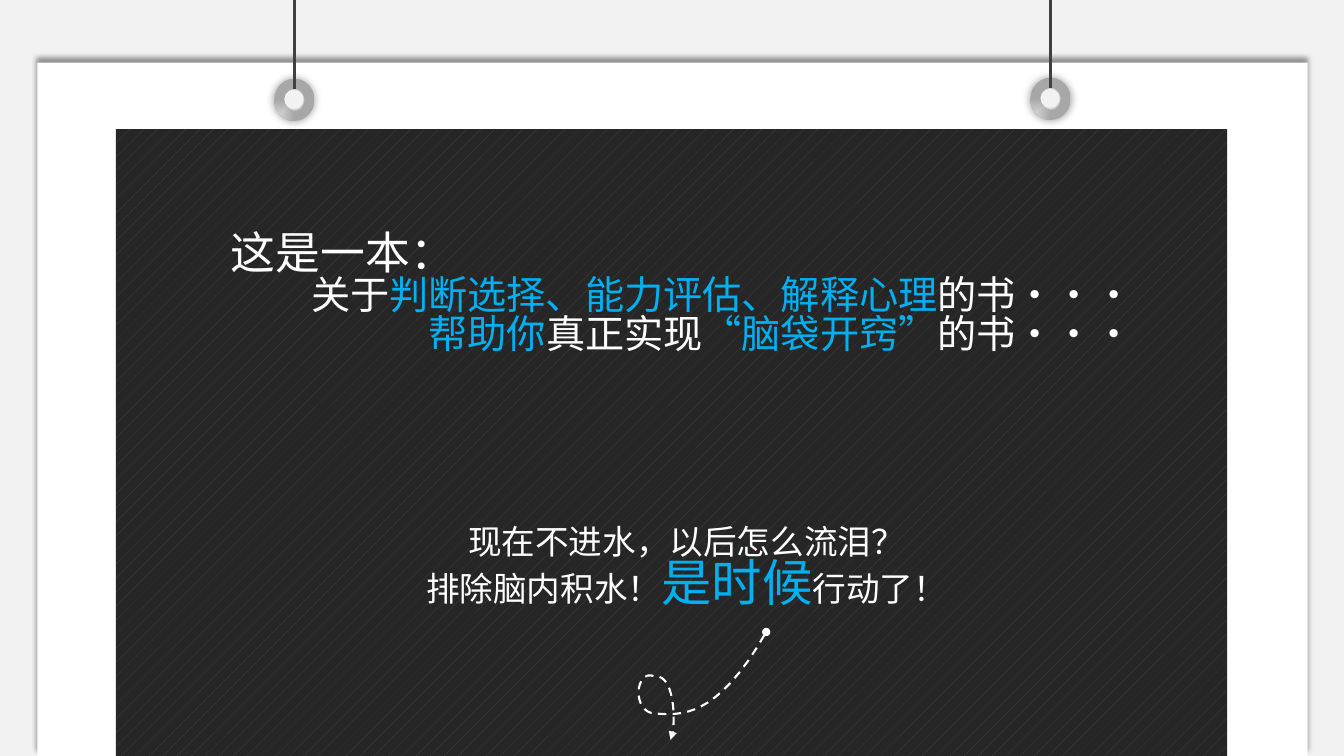
"""Build the hanging-card slide that introduces the book."""
import pptx
import pptx.dml.color
import pptx.enum.dml
import pptx.enum.shapes
import pptx.enum.text
import pptx.oxml
import pptx.oxml.ns
import pptx.util
from pptx.util import Inches

RGBColor = pptx.dml.color.RGBColor
MSO_SHAPE = pptx.enum.shapes.MSO_SHAPE
PP_ALIGN = pptx.enum.text.PP_ALIGN
WHITE = RGBColor(0xFF, 0xFF, 0xFF)
BLUE = RGBColor(0x00, 0xB0, 0xF0)
WALL = RGBColor(0xF2, 0xF2, 0xF2)
BOARD = RGBColor(0x26, 0x26, 0x26)
STRIPE = RGBColor(0x47, 0x47, 0x47)
STRING = RGBColor(0x40, 0x40, 0x40)
RING_LIGHT = RGBColor(0xE3, 0xE1, 0xE1)
RING_DARK = RGBColor(0xA7, 0xA7, 0xA7)
FONT = "Noto Sans CJK SC"


def add_xml(parent, xml):
    ns = pptx.oxml.ns.nsdecls("a")
    parent.append(pptx.oxml.parse_xml(xml.replace("/>", f" {ns}/>", 1) if xml.endswith("/>") and xml.count("<") == 1
                                      else xml.replace(">", f" {ns}>", 1)))


def add_shape(s, kind, left, top, width, height, color=None):
    sp = s.shapes.add_shape(kind, Inches(left), Inches(top), Inches(width), Inches(height))
    sp.shadow.inherit = False
    sp.line.fill.background()
    if color is not None:
        sp.fill.solid()
        sp.fill.fore_color.rgb = color
    return sp


def add_shadow(sp, blur, distance):
    effects = sp._element.spPr.find(pptx.oxml.ns.qn("a:effectLst"))
    add_xml(effects, f'<a:outerShdw blurRad="{pptx.util.Pt(blur)}" dist="{pptx.util.Pt(distance)}" '
                     'dir="16200000" algn="ctr" rotWithShape="0">'
                     '<a:srgbClr val="000000"><a:alpha val="40000"/></a:srgbClr></a:outerShdw>')


def add_ring(s, center, top):
    ring = add_shape(s, MSO_SHAPE.DONUT, center - 0.2, top, 0.4, 0.42)
    ring.adjustments[0] = 0.25
    ring.fill.gradient()
    for stop, color in zip(ring.fill.gradient_stops, (RING_LIGHT, RING_DARK)):
        stop.color.rgb = color
    grad = ring._element.spPr.find(pptx.oxml.ns.qn("a:gradFill"))
    grad.remove(grad.find(pptx.oxml.ns.qn("a:lin")))
    add_xml(grad, '<a:path path="rect"><a:fillToRect t="100000" r="100000"/></a:path>')
    add_shadow(ring, 6, 0)
    add_shape(s, MSO_SHAPE.OVAL, center - 0.1, top + 0.11, 0.19, 0.19, WALL)


def add_string(s, center, bottom):
    line = s.shapes.add_connector(pptx.enum.shapes.MSO_CONNECTOR.STRAIGHT,
                                  Inches(center), 0, Inches(center), Inches(bottom))
    line.line.color.rgb = STRING
    line.line.width = pptx.util.Pt(2.25)
    add_xml(line._element.spPr, "<a:effectLst/>")


def add_curled_arrow(s, start, curves, steps=16):
    points = [start]
    for curve in curves:
        corners = (points[-1], *curve)
        for i in range(1, steps + 1):
            t = i / steps
            weights = ((1 - t) ** 3, 3 * t * (1 - t) ** 2, 3 * t * t * (1 - t), t ** 3)
            points.append(tuple(sum(w * c[axis] for w, c in zip(weights, corners)) for axis in (0, 1)))
    points = [(Inches(x), Inches(y)) for x, y in points]
    builder = s.shapes.build_freeform(*points[0])
    builder.add_line_segments(points[1:], close=False)
    sp = builder.convert_to_shape()
    sp.shadow.inherit = False
    sp.fill.background()
    sp.line.color.rgb = WHITE
    sp.line.width = pptx.util.Pt(1.5)
    sp.line.dash_style = pptx.enum.dml.MSO_LINE.DASH
    ln = sp.line._get_or_add_ln()
    add_xml(ln, '<a:headEnd type="oval"/>')
    add_xml(ln, '<a:tailEnd type="triangle"/>')


def fill_text(sp, box, paragraphs):
    sp.left, sp.top, sp.width, sp.height = map(Inches, box)
    tf = sp.text_frame
    tf.word_wrap = True
    tf.auto_size = pptx.enum.text.MSO_AUTO_SIZE.NONE
    tf.vertical_anchor = pptx.enum.text.MSO_ANCHOR.TOP
    for i, (align, runs) in enumerate(paragraphs):
        p = tf.add_paragraph() if i else tf.paragraphs[0]
        p.alignment = align
        p.line_spacing = 0.83
        p.space_before = pptx.util.Pt(0)
        p._p.get_or_add_pPr().set("indent", str(Inches(0.29)))
        for text, size, color in runs:
            r = p.add_run()
            r.text = text
            r.font.size = pptx.util.Pt(size)
            r.font.color.rgb = color
            r.font.name = FONT
            add_xml(r._r.get_or_add_rPr(), f'<a:ea typeface="{FONT}"/>')


def main():
    prs = pptx.Presentation()
    prs.slide_width, prs.slide_height = Inches(13.33), Inches(7.5)
    s = prs.slides.add_slide(prs.slide_layouts[5])
    s.background.fill.solid()
    s.background.fill.fore_color.rgb = WALL

    card = add_shape(s, MSO_SHAPE.RECTANGLE, 0.37, 0.62, 12.6, 6.88, WHITE)
    add_shadow(card, 4, 3)
    hangers = ((2.92, 0.78), (10.42, 0.77))
    for center, top in hangers:
        add_ring(s, center, top)
    board = add_shape(s, MSO_SHAPE.RECTANGLE, 1.15, 1.28, 11.02, 6.22)
    board.fill.patterned()
    board.fill.pattern = pptx.enum.dml.MSO_PATTERN.PERCENT_5
    board.fill.fore_color.rgb = STRIPE
    board.fill.back_color.rgb = BOARD
    for center, top in hangers:
        add_string(s, center, top + 0.1)

    call = s.shapes.add_textbox(0, 0, 0, 0)
    fill_text(call, (3.33, 5.19, 6.67, 1.11), (
        (PP_ALIGN.CENTER, [("现在不进水，以后怎么流泪？", 24, WHITE)]),
        (PP_ALIGN.CENTER, [("排除脑内积水！", 24, WHITE), ("是时候", 36, BLUE), ("行动了！", 24, WHITE)]),
    ))
    title = s.shapes.title
    s.shapes._spTree.append(title._element)
    fill_text(title, (1.9, 2.27, 9.44, 1.58), (
        (PP_ALIGN.LEFT, [("这是一本：", 32, WHITE)]),
        (PP_ALIGN.RIGHT, [("关于", 28, WHITE), ("判断选择、能力评估、解释心理", 28, BLUE), ("的书···", 28, WHITE)]),
        (PP_ALIGN.RIGHT, [("帮助你", 28, BLUE), ("真正实现", 28, WHITE), ("“脑袋开窍”", 28, BLUE),
                          ("的书···", 28, WHITE)]),
    ))
    add_curled_arrow(s, (7.6, 6.27), (
        ((7.1, 7.15), (6.74, 7.09), (6.5, 7.08)),
        ((6.26, 7.07), (6.3, 6.63), (6.49, 6.71)),
        ((6.72, 6.68), (6.7, 7.29), (6.65, 7.34)),
    ))
    prs.save("out.pptx")


if __name__ == "__main__":
    main()
